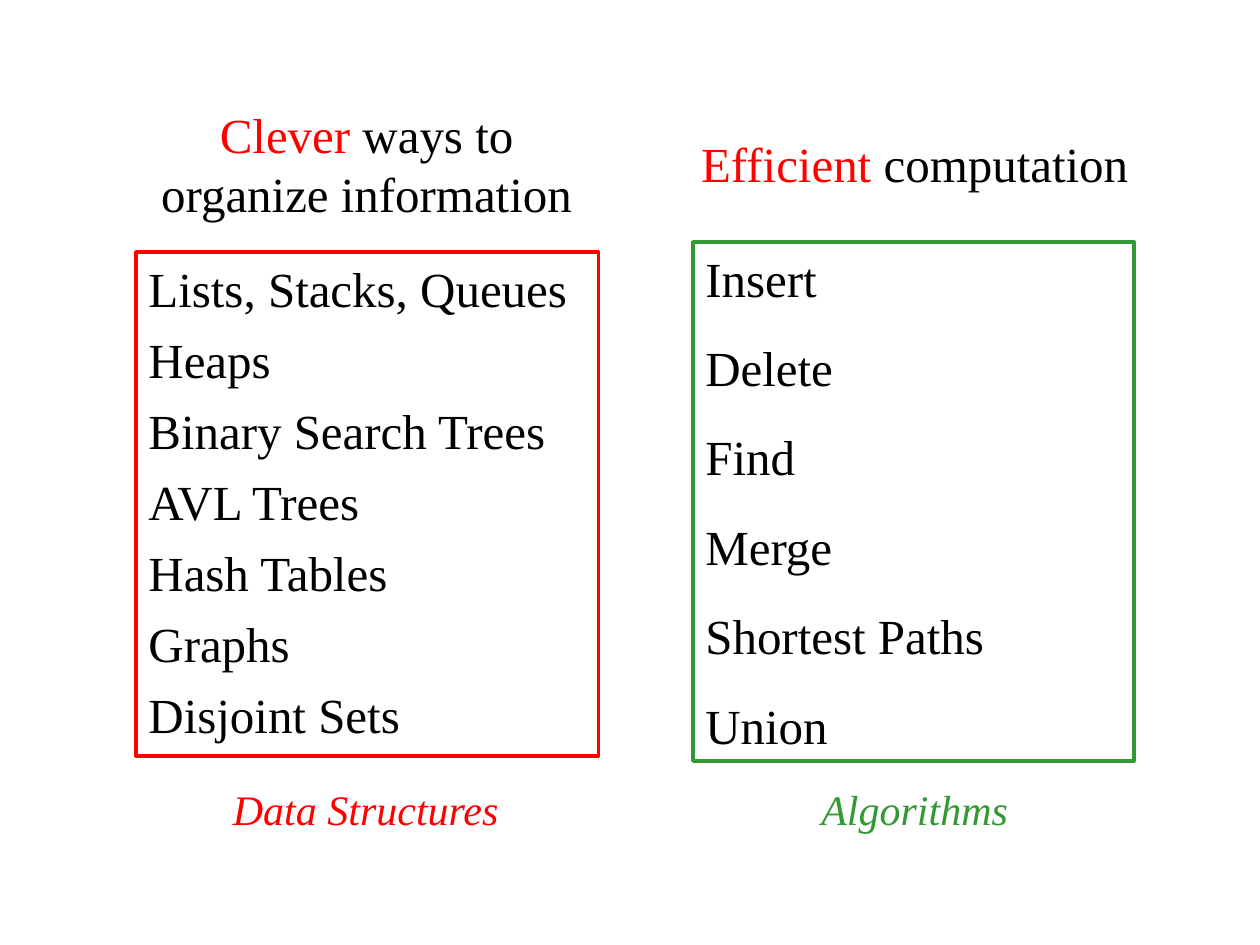
from pptx import Presentation
from pptx.dml.color import RGBColor as RGB
from pptx.enum.shapes import MSO_SHAPE as SHAPE
from pptx.enum.text import MSO_ANCHOR as ANCHOR, PP_ALIGN as ALIGN
from pptx.util import Inches, Pt

RED, GREEN, BLACK = "FF0000", "339933", "000000"


def color(code):
    return RGB.from_string(code)


def write(shape, lines, size=28, italic=False, align=ALIGN.LEFT,
          anchor=ANCHOR.TOP, gap=0, wrap=True):
    frame = shape.text_frame
    frame.word_wrap = wrap
    frame.vertical_anchor = anchor
    for i, runs in enumerate(lines):
        para = frame.add_paragraph() if i else frame.paragraphs[0]
        para.alignment = align
        para.space_before = Pt(gap)
        para.line_spacing = Pt(size * 1.2)
        for text, code in runs:
            run = para.add_run()
            run.text = text
            font = run.font
            font.name = "Times New Roman"
            font.size = Pt(size)
            font.italic = italic
            font.color.rgb = color(code)


deck = Presentation()
deck.slide_width, deck.slide_height = Inches(10), Inches(7.5)
shapes = deck.slides.add_slide(deck.slide_layouts[6]).shapes

heads = [
    (0.98, "Clever", " ways to organize information"),
    (5.33, "Efficient", " computation"),
]
for left, key, rest in heads:
    head = shapes.add_textbox(Inches(left), Inches(0.67), Inches(3.86), Inches(1.25))
    write(head, [[(key, RED), (rest, BLACK)]], align=ALIGN.CENTER, anchor=ANCHOR.MIDDLE)

topics = ["Lists, Stacks, Queues", "Heaps", "Binary Search Trees", "AVL Trees",
          "Hash Tables", "Graphs", "Disjoint Sets"]
tasks = ["Insert", "Delete", "Find", "Merge", "Shortest Paths", "Union"]
panels = [
    (1.08, 2, 3.67, 4, RED, 7, topics),
    (5.5, 1.92, 3.5, 4.12, GREEN, 17.5, tasks),
]
for left, top, width, height, code, gap, items in panels:
    panel = shapes.add_shape(SHAPE.RECTANGLE, Inches(left), Inches(top),
                             Inches(width), Inches(height))
    panel.shadow.inherit = False
    panel.fill.background()
    panel.line.color.rgb = color(code)
    panel.line.width = Pt(2)
    write(panel, [[(item, BLACK)] for item in items], gap=gap)

labels = [
    (1.75, 2.32, "Data Structures", RED),
    (6.42, 1.68, "Algorithms", GREEN),
]
for left, width, text, code in labels:
    label = shapes.add_textbox(Inches(left), Inches(6.17), Inches(width), Inches(0.5))
    write(label, [[(text, code)]], size=24, italic=True, wrap=False)

deck.save("out.pptx")
